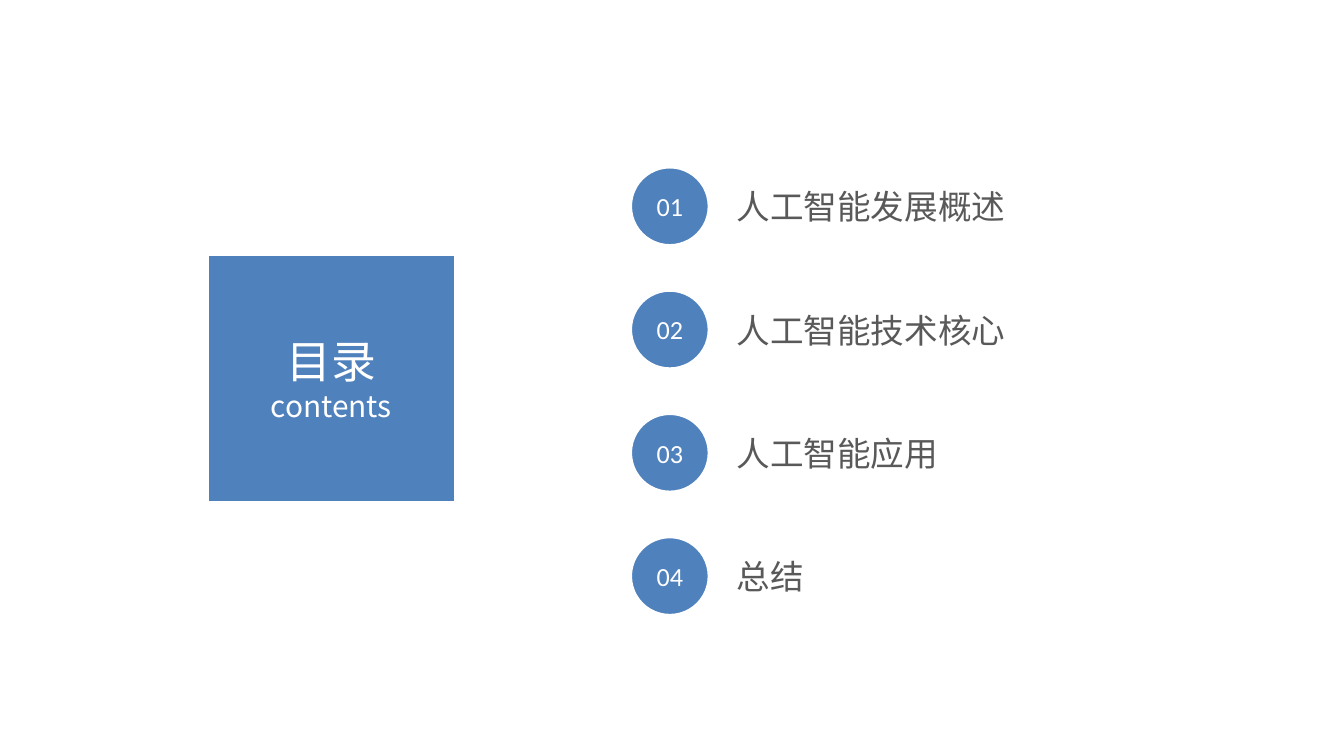
import dataclasses

import pptx
import pptx.dml.color
import pptx.enum.shapes
import pptx.enum.text
import pptx.oxml
import pptx.oxml.ns
import pptx.util
from pptx.util import Cm

CENTER = pptx.enum.text.PP_ALIGN.CENTER
LEFT = pptx.enum.text.PP_ALIGN.LEFT


@dataclasses.dataclass(frozen=True)
class Theme:
    """Colours, fonts and type sizes of the deck."""
    accent: str = "4F81BD"
    light: str = "FFFFFF"
    ink: str = "595959"
    latin: str = "Calibri"
    chinese: str = "Noto Sans CJK SC"
    title: int = 24
    subtitle: int = 16
    item: int = 18
    number: int = 14
    outline: int = 2


THEME = Theme()


def place(box, left, top, width, height):
    """Move and size a box."""
    values = {"left": left, "top": top, "width": width, "height": height}
    for name, value in values.items():
        setattr(box, name, value)


def write(box, lines, font, color, align, inset=0):
    """Fill a box with (text, size) lines, centred in its height."""
    frame = box.text_frame
    frame_format = {
        "word_wrap": True,
        "auto_size": pptx.enum.text.MSO_AUTO_SIZE.NONE,
        "vertical_anchor": pptx.enum.text.MSO_ANCHOR.MIDDLE,
        "margin_left": inset, "margin_right": inset,
        "margin_top": 0, "margin_bottom": 0,
    }
    for name, value in frame_format.items():
        setattr(frame, name, value)
    for index, (text, size) in enumerate(lines):
        para = frame.add_paragraph() if index else frame.paragraphs[0]
        para_format = {"alignment": align, "space_before": pptx.util.Pt(0)}
        for name, value in para_format.items():
            setattr(para, name, value)
        span = para.add_run()
        span.text = text
        span_format = {"name": font, "size": pptx.util.Pt(size), "bold": False}
        for name, value in span_format.items():
            setattr(span.font, name, value)
        span.font.color.rgb = pptx.dml.color.RGBColor.from_string(color)
        east_asian = pptx.oxml.parse_xml(
            f'<a:ea {pptx.oxml.ns.nsdecls("a")} typeface="{THEME.chinese}"/>')
        span.font._element.append(east_asian)


def paint_disc(disc):
    """Give a round shape the accent fill and the light outline."""
    disc.shadow.inherit = False
    disc.fill.solid()
    disc.fill.fore_color.rgb = pptx.dml.color.RGBColor.from_string(THEME.accent)
    disc.line.color.rgb = pptx.dml.color.RGBColor.from_string(THEME.light)
    disc.line.width = pptx.util.Pt(THEME.outline)


def add_title_disc(title, left, top, size):
    """Turn the title placeholder into the large disc."""
    place(title, left, top, size, size)
    title._element.spPr.append(pptx.oxml.parse_xml(
        f'<a:prstGeom {pptx.oxml.ns.nsdecls("a")} prst="ellipse"><a:avLst/></a:prstGeom>'))
    paint_disc(title)
    lines = [("目录", THEME.title), ("contents", THEME.subtitle)]
    write(title, lines, THEME.chinese, THEME.light, CENTER)


def add_entry(page, label, number, text, left, top):
    """Place a numbered badge and its label from the entry's top left corner."""
    badge = page.shapes.add_shape(
        pptx.enum.shapes.MSO_SHAPE.OVAL, left, top, Cm(1.5), Cm(1.5))
    paint_disc(badge)
    write(badge, [(f"{number:02d}", THEME.number)], THEME.latin, THEME.light, CENTER)

    place(label, left + Cm(1.76), top + Cm(0.24), Cm(8.71), Cm(1.02))
    write(label, [(text, THEME.item)], THEME.latin, THEME.ink, LEFT, Cm(0.25))
    properties = label.text_frame.paragraphs[0]._p.get_or_add_pPr()
    for name in ("marL", "indent"):
        properties.set(name, "0")
    properties.append(pptx.oxml.parse_xml(f'<a:buNone {pptx.oxml.ns.nsdecls("a")}/>'))


def add_contents_page(deck, entries):
    """Add the contents page; the Comparison layout has four text placeholders."""
    page = deck.slides.add_slide(deck.slide_layouts.get_by_name("Comparison"))
    title, *labels = [box for box in page.placeholders
                      if box.placeholder_format.idx <= 4]
    add_title_disc(title, Cm(3.91), Cm(4.8), Cm(4.7))
    for index, (label, text) in enumerate(zip(labels, entries)):
        add_entry(page, label, index + 1, text, Cm(11.91), Cm(3.15) + index * Cm(2.33))


deck = pptx.Presentation()
deck.slide_width, deck.slide_height = Cm(25.4), Cm(14.29)
add_contents_page(deck, ["人工智能发展概述", "人工智能技术核心", "人工智能应用", "总结"])
deck.save("out.pptx")
